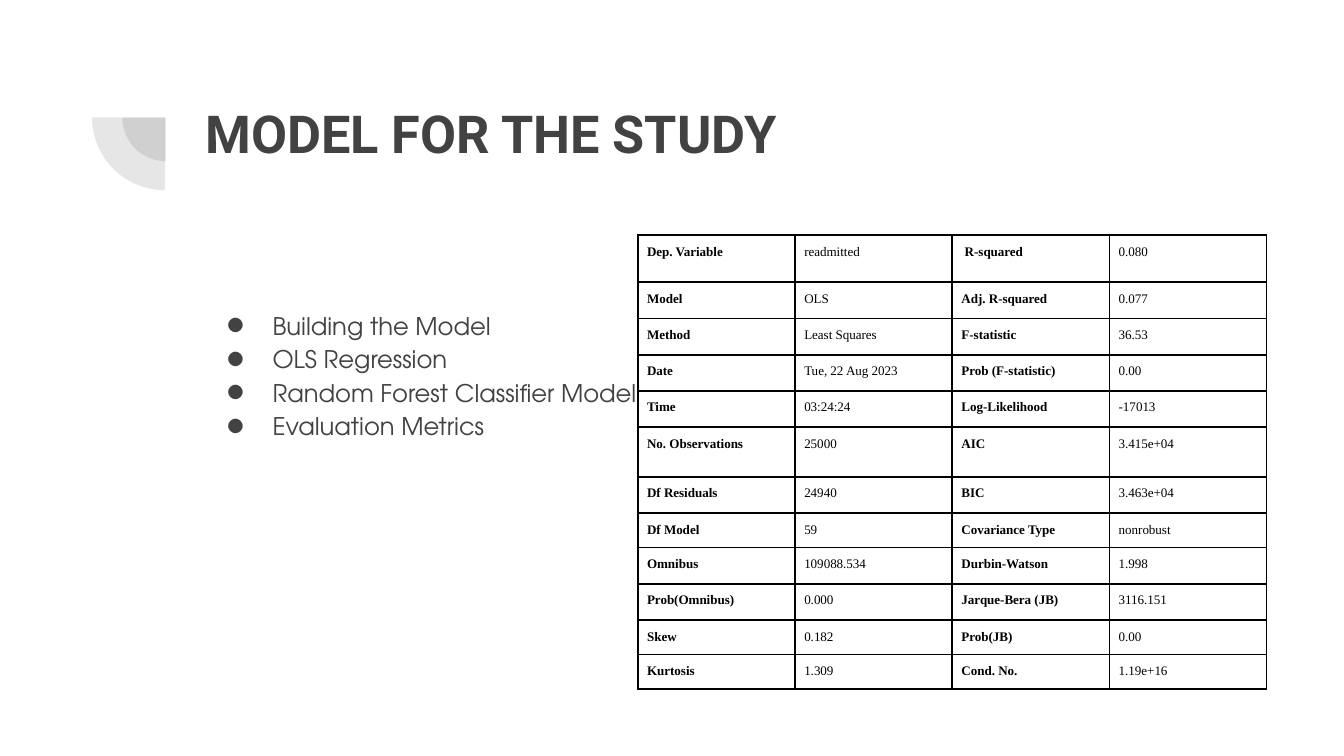
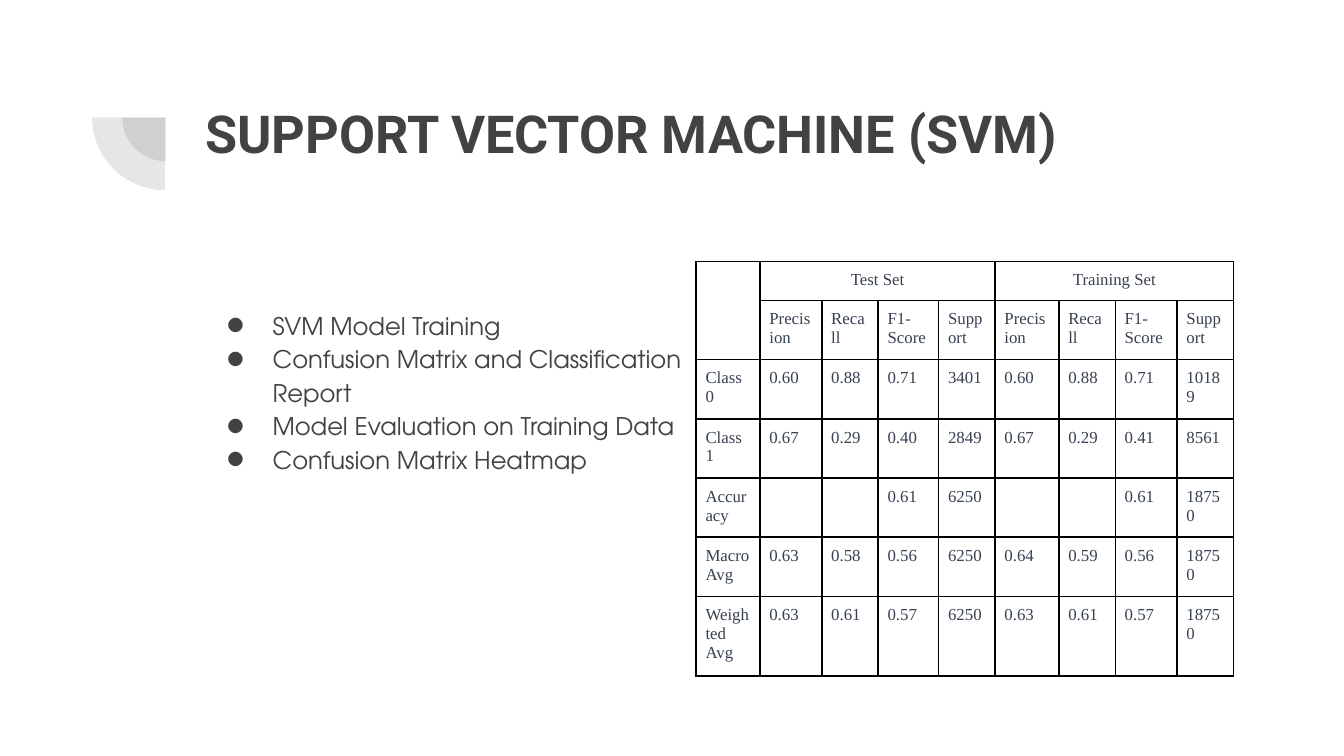
from lxml import etree
from pptx import Presentation
from pptx import util as u
from pptx.dml.color import RGBColor
from pptx.enum import shapes, text
from pptx.oxml import ns

PX = 4572  # EMU per px, 200 px to the inch
COLORS = {"ink": "424242", "black": "000000", "slate": "374151"}
TITLE_FONT, BODY_FONT, TABLE_FONT = "Roboto", "TeX Gyre Adventor", "Times New Roman"
ALIGN = text.PP_ALIGN


def px(length):
    return u.Emu(length * PX)


def add_xml(parent, tag, **attributes):
    return etree.SubElement(parent, ns.qn(tag), attributes)


class SlideBuilder:
    def __init__(self, width, height):
        self.deck = Presentation()
        self.deck.slide_width, self.deck.slide_height = px(width), px(height)
        self.page = None

    def start_page(self, title, bullets):
        self.page = self.deck.slides.add_slide(self.deck.slide_layouts[6])
        self.quarter(182, 110, 130)
        self.quarter(137, 66, 217)
        self.title(title)
        self.bullets(bullets)

    def quarter(self, left, top, size):
        """Translucent lower-left quarter of a disc."""
        pie = self.page.shapes.add_shape(
            shapes.MSO_SHAPE.PIE, px(left), px(top), px(size), px(size))
        # Pie angles: 0.6 per degree, from 180 to 270 degrees
        pie.adjustments[0], pie.adjustments[1] = 108, 162
        pie.rotation = 270
        pie.shadow.inherit = False
        pie.line.fill.background()
        pie.fill.solid()
        pie.fill.fore_color.rgb = RGBColor.from_string(COLORS["ink"])
        color = pie.fill._xPr.find(".//" + ns.qn("a:srgbClr"))
        add_xml(color, "a:alpha", val="13000")

    def text_box(self, left, top, width, height, lines):
        box = self.page.shapes.add_textbox(px(left), px(top), px(width), px(height))
        frame = box.text_frame
        frame.word_wrap = True
        frame.margin_left = frame.margin_right = px(20)
        frame.margin_top = frame.margin_bottom = px(20)
        frame.text = "\n".join(lines)
        return frame

    def format(self, para, font, size, color, bold=False):
        for span in para.runs:
            span.font.name = font
            span.font.size = u.Pt(size)
            span.font.bold = bold
            span.font.color.rgb = RGBColor.from_string(COLORS[color])

    def title(self, words):
        frame = self.text_box(286, 130, 1538, 218, [words])
        self.format(frame.paragraphs[0], TITLE_FONT, 28, "ink", bold=True)

    def bullets(self, lines):
        for para in self.text_box(286, 436, 750, 556, lines).paragraphs:
            self.format(para, BODY_FONT, 13, "ink")
            para.line_spacing = 1.15
            props = para._p.get_or_add_pPr()
            props.set("marL", str(px(100)))
            props.set("indent", str(px(-69)))
            add_xml(add_xml(props, "a:buClr"), "a:srgbClr", val=COLORS["ink"])
            add_xml(props, "a:buFont", typeface=BODY_FONT)
            add_xml(props, "a:buChar", char="●")

    def table(self, left, top, widths, heights, rows, style_cell):
        """Fill a ruled table; style_cell(row, column) gives size, colour, bold, align."""
        frame = self.page.shapes.add_table(
            len(heights), len(widths), px(left), px(top),
            px(sum(widths)), px(sum(heights)))
        table = frame.table
        table.first_row = table.horz_banding = False
        for column, width in zip(table.columns, widths):
            column.width = px(width)
        for row, height in zip(table.rows, heights):
            row.height = px(height)
        for r, values in enumerate(rows):
            for c, value in enumerate(values):
                self.cell(table.cell(r, c), value, *style_cell(r, c))
        return table

    def cell(self, cell, value, size, color, bold, align):
        cell.margin_left = cell.margin_right = px(14)
        cell.margin_top = cell.margin_bottom = px(14)
        cell.text_frame.text = value
        for para in cell.text_frame.paragraphs:
            para.alignment = align
            self.format(para, TABLE_FONT, size, color, bold)
            if not value:
                add_xml(para._p, "a:endParaRPr", sz=str(size * 100))
        props = cell._tc.get_or_add_tcPr()
        for side in ("a:lnL", "a:lnR", "a:lnT", "a:lnB"):
            line = add_xml(props, side, w=str(u.Pt(1)))
            add_xml(add_xml(line, "a:solidFill"), "a:srgbClr", val=COLORS["black"])
        cell.fill.background()


REGRESSION = [
    ("Dep. Variable", "readmitted", " R-squared", "0.080"),
    ("Model", "OLS", "Adj. R-squared", "0.077"),
    ("Method", "Least Squares", "F-statistic", "36.53"),
    ("Date", "Tue, 22 Aug 2023", "Prob (F-statistic)", "0.00"),
    ("Time", "03:24:24", "Log-Likelihood", "-17013"),
    ("No. Observations", "25000", "AIC", "3.415e+04"),
    ("Df Residuals", "24940", "BIC", "3.463e+04"),
    ("Df Model", "59", "Covariance Type", "nonrobust"),
    ("Omnibus", "109088.534", "Durbin-Watson", "1.998"),
    ("Prob(Omnibus)", "0.000", "Jarque-Bera (JB)", "3116.151"),
    ("Skew", "0.182", "Prob(JB)", "0.00"),
    ("Kurtosis", "1.309", "Cond. No.", "1.19e+16"),
]
METRICS = ("Precision", "Recall", "F1-Score", "Support")
SCORES = [
    ("", "Test Set", "", "", "", "Training Set", "", "", ""),
    ("", *METRICS, *METRICS),
    ("Class 0", "0.60", "0.88", "0.71", "3401", "0.60", "0.88", "0.71", "10189"),
    ("Class 1", "0.67", "0.29", "0.40", "2849", "0.67", "0.29", "0.41", "8561"),
    ("Accuracy", "", "", "0.61", "6250", "", "", "0.61", "18750"),
    ("Macro\nAvg", "0.63", "0.58", "0.56", "6250", "0.64", "0.59", "0.56", "18750"),
    ("Weighted\nAvg", "0.63", "0.61", "0.57", "6250", "0.63", "0.61", "0.57", "18750"),
]


def regression_style(row, column):
    return 7, "black", column % 2 == 0, ALIGN.JUSTIFY


def score_style(row, column):
    return 9, "slate", False, ALIGN.CENTER if row == 0 else ALIGN.LEFT


def main():
    builder = SlideBuilder(2000, 1125)

    builder.start_page("MODEL FOR THE STUDY", [
        "Building the Model", "OLS Regression",
        "Random Forest Classifier Model", "Evaluation Metrics"])
    builder.table(949, 350, [234] * 4,
                  [70, 54, 54, 54, 54, 74, 54, 34, 54, 54, 34, 34],
                  REGRESSION, regression_style)

    builder.start_page("SUPPORT VECTOR MACHINE (SVM)", [
        "SVM Model Training", "Confusion Matrix and Classification Report",
        "Model Evaluation on Training Data", "Confusion Matrix Heatmap"])
    # Rows below the headings grow to fit their text
    scores = builder.table(1036, 389, [95, 92, 84, 90, 84, 95, 84, 92, 84],
                           [22, 62] + [2] * 5, SCORES, score_style)
    scores.cell(0, 0).merge(scores.cell(1, 0))
    for first in (1, 5):
        scores.cell(0, first).merge(scores.cell(0, first + 3))

    builder.deck.save("out.pptx")


if __name__ == "__main__":
    main()
